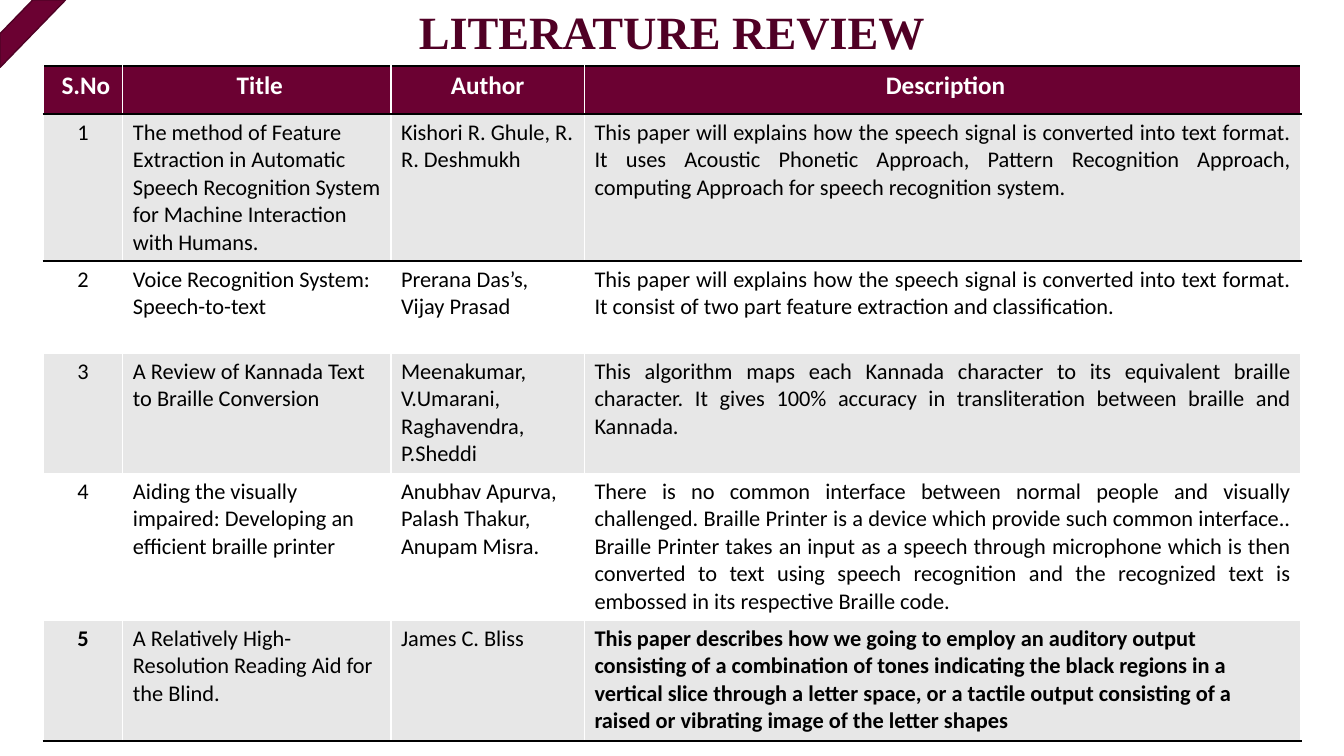
from lxml.etree import SubElement
from pptx import Presentation
from pptx.dml.color import RGBColor
from pptx.enum.shapes import MSO_SHAPE as Shape
from pptx.enum.text import MSO_ANCHOR as Anchor, PP_ALIGN as Align
from pptx.oxml.ns import qn
from pptx.util import Pt

MAROON = RGBColor(0x6B, 0x01, 0x32)
DARK_MAROON = RGBColor(0x4F, 0x01, 0x25)
TITLE_COLOR = RGBColor(0x50, 0x00, 0x25)
GREY = RGBColor(0xE7, 0xE7, 0xE7)
WHITE = RGBColor(0xFF, 0xFF, 0xFF)
BLACK = RGBColor(0x00, 0x00, 0x00)

HEADINGS = (" S.No", " Title", "Author", " Description")
PAPERS = [
    ("1",
     "The method of Feature Extraction in Automatic Speech Recognition System "
     "for Machine Interaction with Humans.",
     "Kishori R. Ghule, R. R. Deshmukh",
     "This paper will explains how the speech signal is converted into text format. "
     "It uses Acoustic Phonetic Approach, Pattern Recognition Approach, "
     "computing Approach for speech recognition system."),
    ("2",
     "Voice Recognition System: Speech-to-text",
     "Prerana Das’s, Vijay Prasad",
     "This paper will explains how the speech signal is converted into text format. "
     "It consist of two part feature extraction and classification."),
    ("3",
     "A Review of Kannada Text to Braille Conversion",
     "Meenakumar, V.Umarani, Raghavendra, P.Sheddi",
     "This algorithm maps each Kannada character to its equivalent braille character. "
     "It gives 100% accuracy in transliteration between braille and Kannada."),
    ("4",
     "Aiding the visually impaired: Developing an efficient braille printer",
     "Anubhav Apurva, Palash Thakur, Anupam Misra.",
     "There is no common interface between normal people and visually challenged. "
     "Braille Printer is a device which provide such common interface.. "
     "Braille Printer takes an input as a speech through microphone which is then "
     "converted to text using speech recognition and the recognized text is "
     "embossed in its respective Braille code."),
    ("5",
     "A Relatively High-Resolution Reading Aid for the Blind.",
     "James C. Bliss",
     "This paper describes how we going to employ an auditory output consisting of "
     "a combination of tones indicating the black regions in a vertical slice through "
     "a letter space, or a tactile output consisting of a raised or vibrating image "
     "of the letter shapes"),
]
COLUMN_WIDTHS = (56.9, 191.5, 138.2, 511.9)
ROW_HEIGHTS = (34.5, 105, 65.8, 85.7, 105, 86.4)


def add_run(paragraph, text, font, size, color, bold):
    run = paragraph.add_run()
    run.text = text
    run.font.name = font
    run.font.size = Pt(size)
    run.font.color.rgb = color
    run.font.bold = bold


def add_border(cell, side):
    line = SubElement(cell._tc.get_or_add_tcPr(), qn(f"a:{side}"), w=str(Pt(2)))
    fill = SubElement(line, qn("a:solidFill"))
    SubElement(fill, qn("a:srgbClr"), val=str(BLACK))


deck = Presentation()
deck.slide_width, deck.slide_height = Pt(960), Pt(540)
slide = deck.slides.add_slide(deck.slide_layouts[6])

heading = slide.shapes.add_textbox(0, 0, Pt(960), Pt(81.4)).text_frame
heading.word_wrap = True
heading.vertical_anchor = Anchor.TOP
heading.margin_top = Pt(7)
heading_line = heading.paragraphs[0]
heading_line.alignment = Align.CENTER
heading_line.line_spacing = 0.9
add_run(heading_line, "LITERATURE REVIEW", "Times New Roman", 33, TITLE_COLOR, True)

review = slide.shapes.add_table(
    len(ROW_HEIGHTS), len(COLUMN_WIDTHS), Pt(30.9), Pt(47),
    Pt(sum(COLUMN_WIDTHS)), Pt(sum(ROW_HEIGHTS))).table
for column, width in zip(review.columns, COLUMN_WIDTHS):
    column.width = Pt(width)
for row, height in zip(review.rows, ROW_HEIGHTS):
    row.height = Pt(height)

last = len(PAPERS)
for r, entries in enumerate([HEADINGS, *PAPERS]):
    for c, entry in enumerate(entries):
        cell = review.cell(r, c)
        if r == 0:
            add_border(cell, "lnT")
        if r in (0, last):
            add_border(cell, "lnB")
        if r == 1:
            add_border(cell, "lnT")
        cell.fill.solid()
        cell.fill.fore_color.rgb = MAROON if r == 0 else GREY if r % 2 else WHITE

        paragraph = cell.text_frame.paragraphs[0]
        if r == 0 or c == 0:
            paragraph.alignment = Align.CENTER
        elif c == 3 and r < last:
            paragraph.alignment = Align.JUSTIFY
        else:
            paragraph.alignment = Align.LEFT
        bold = r == 0 or (r == last and c in (0, 3))
        add_run(paragraph, entry, "Calibri", 16 if r else 18, BLACK if r else WHITE, bold)

corner = slide.shapes.add_shape(Shape.DIAGONAL_STRIPE, 0, 0, Pt(46.8), Pt(48.2))
corner.shadow.inherit = False
corner.fill.solid()
corner.fill.fore_color.rgb = MAROON
corner.line.color.rgb = DARK_MAROON
corner.line.width = Pt(1)

deck.save("out.pptx")
